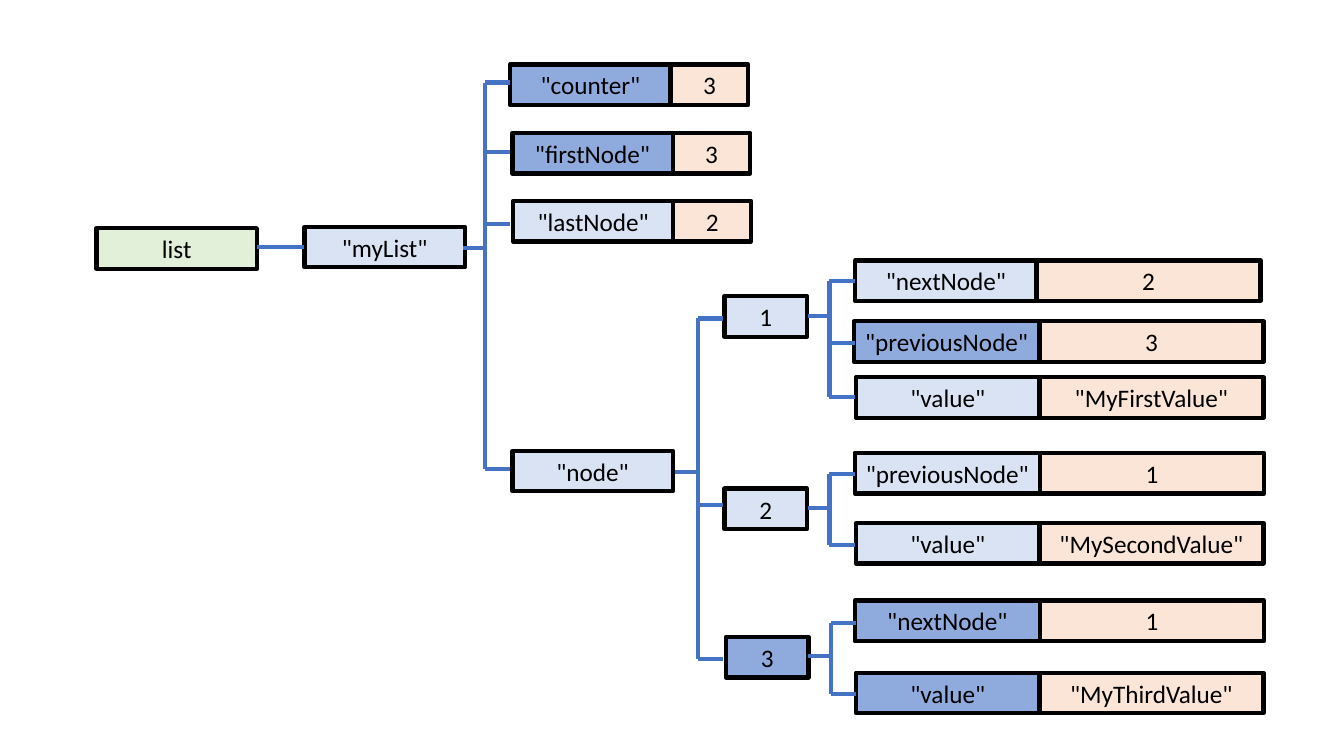
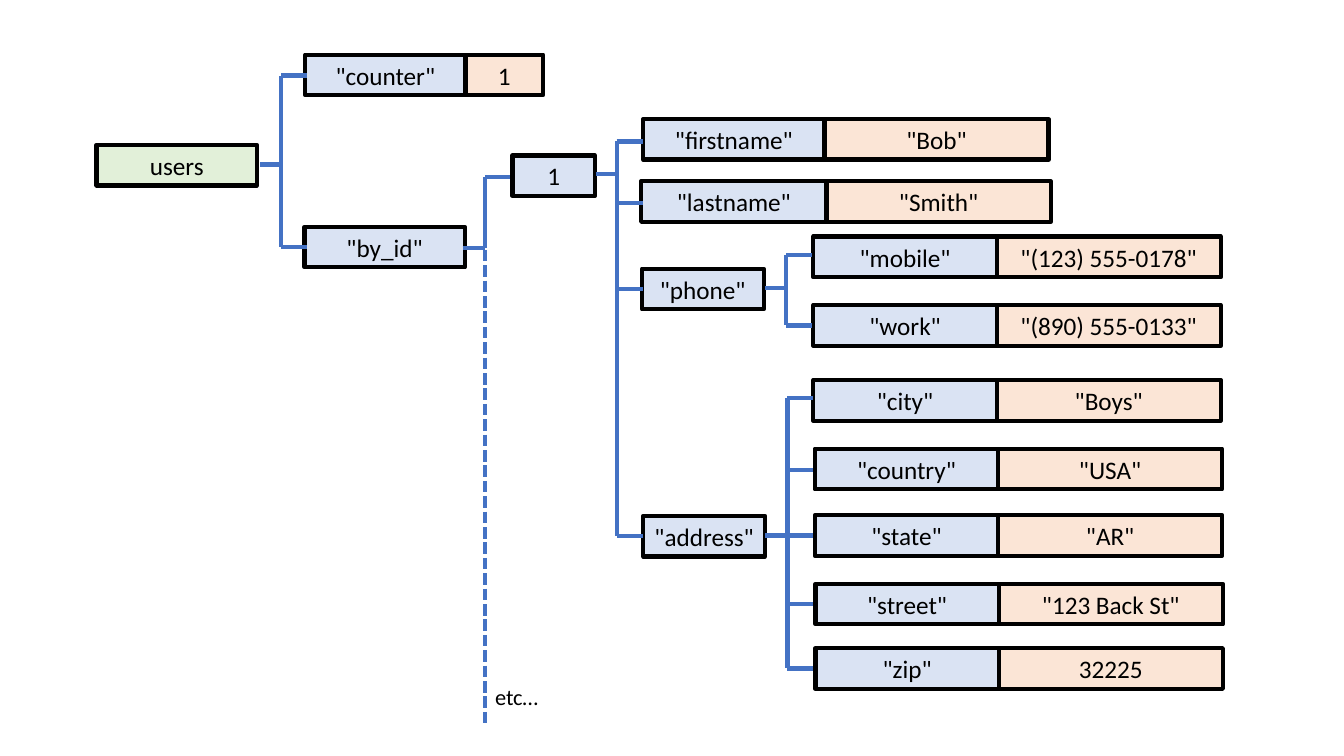
from pptx import Presentation
from pptx.dml.color import RGBColor
from pptx.enum.dml import MSO_LINE
from pptx.enum.shapes import MSO_CONNECTOR, MSO_SHAPE
from pptx.enum.text import MSO_ANCHOR, PP_ALIGN
from pptx.oxml.ns import qn
from pptx.util import Pt
from lxml.etree import SubElement

BLACK = RGBColor(0x00, 0x00, 0x00)
GREEN = RGBColor(0xE2, 0xF0, 0xD9)
PALE = RGBColor(0xDA, 0xE3, 0xF3)
BLUE = RGBColor(0x8F, 0xAA, 0xDC)
PEACH = RGBColor(0xFB, 0xE5, 0xD6)
LINK = RGBColor(0x44, 0x72, 0xC4)

HEIGHT = 29
NAME_W, ID_W, SUB_W = 114.5, 59, 87
KEY_W, WIDE_KEY_W = 131, 132.5
COUNT_W, VALUE_W = 55.5, 160


class TreeDeck:
    """Draws tree diagrams of keys and values, one tree a slide."""

    def __init__(self):
        self.prs = Presentation()
        self.prs.slide_width = Pt(960)
        self.prs.slide_height = Pt(540)
        self.s = None

    def new_slide(self):
        self.s = self.prs.slides.add_slide(self.prs.slide_layouts[6])

    def add_text(self, tf, text, size, align):
        p = tf.paragraphs[0]
        p.alignment = align
        r = p.add_run()
        r.text = text
        r.font.size = Pt(size)
        r.font.name = "Calibri"
        r.font.color.rgb = BLACK

    def box(self, text, x, y, w, fill=PALE):
        sp = self.s.shapes.add_shape(
            MSO_SHAPE.RECTANGLE, Pt(x), Pt(y), Pt(w), Pt(HEIGHT))
        sp.shadow.inherit = False
        sp.fill.solid()
        sp.fill.fore_color.rgb = fill
        sp.line.color.rgb = BLACK
        sp.line.width = Pt(3)
        tf = sp.text_frame
        tf.word_wrap = True
        tf.vertical_anchor = MSO_ANCHOR.MIDDLE
        tf.margin_left = tf.margin_right = Pt(3)
        self.add_text(tf, text, 18, PP_ALIGN.CENTER)

    def pair(self, key, value, x, y, key_w=KEY_W, value_w=VALUE_W, fill=PALE):
        self.box(value, x + key_w, y, value_w, PEACH)
        self.box(key, x, y, key_w, fill)

    def label(self, text, x, y, w, h):
        tf = self.s.shapes.add_textbox(Pt(x), Pt(y), Pt(w), Pt(h)).text_frame
        tf.word_wrap = False
        self.add_text(tf, text, 16, PP_ALIGN.LEFT)

    def line(self, x1, y1, x2, y2, width=3, dash=None):
        cn = self.s.shapes.add_connector(
            MSO_CONNECTOR.STRAIGHT, Pt(x1), Pt(y1), Pt(x2), Pt(y2))
        cn.line.color.rgb = LINK
        cn.line.width = Pt(width)
        if dash:
            cn.line.dash_style = dash
        SubElement(cn._element.spPr, qn("a:effectLst"))

    def bracket(self, left, y, spine, right, branches):
        self.line(left, y, spine, y)
        self.line(spine, min(y, *branches), spine, max(y, *branches))
        for branch in branches:
            self.line(spine, branch, right, branch)


def list_slide(deck):
    """Draw the linked list tree."""
    deck.new_slide()
    deck.box("list", 69, 163, NAME_W, GREEN)
    deck.box('"myList"', 217.5, 162, NAME_W)
    for key, value, x, y, fill in (
            ('"counter"', "3", 364.5, 46, BLUE),
            ('"firstNode"', "3", 366, 95, BLUE),
            ('"lastNode"', "2", 366.5, 143.5, PALE)):
        deck.pair(key, value, x, y, NAME_W, COUNT_W, fill)
    deck.box('"node"', 366, 322, NAME_W)
    for text, x, y, fill in (
            ("1", 517.5, 211.5, PALE),
            ("2", 517.5, 349, PALE),
            ("3", 518.5, 455, BLUE)):
        deck.box(text, x, y, ID_W, fill)
    for key, value, x, y, key_w, fill in (
            ('"nextNode"', "2", 611, 186, 129.5, PALE),
            ('"value"', '"MyFirstValue"', 611.5, 269.5, KEY_W, PALE),
            ('"previousNode"', "1", 610.5, 323.5, WIDE_KEY_W, PALE),
            ('"value"', '"MySecondValue"', 611.5, 373.5, KEY_W, PALE),
            ('"nextNode"', "1", 610.5, 429, WIDE_KEY_W, BLUE),
            ('"value"', '"MyThirdValue"', 611.5, 480.5, KEY_W, BLUE),
            ('"previousNode"', "3", 610, 229.5, WIDE_KEY_W, BLUE)):
        deck.pair(key, value, x, y, key_w, fill=fill)
    deck.line(183.5, 176.5, 217.5, 176.5)
    deck.bracket(330.5, 177, 346.5, 364.5, (59, 108.5, 160, 335))
    deck.bracket(482.5, 337, 498.5, 516.5, (227.5, 360.5, 471))
    deck.bracket(577, 225.5, 592.5, 611, (201, 245, 283.5))
    deck.bracket(577.5, 363, 592.5, 611, (338.5, 389.5))
    deck.bracket(577.5, 468.5, 593.5, 611.5, (445, 496))


def users_slide(deck):
    """Draw the users tree."""
    deck.new_slide()
    deck.box("users", 69, 103.5, NAME_W, GREEN)
    deck.box('"by_id"', 217.5, 162, NAME_W)
    deck.pair('"counter"', "1", 218, 39, NAME_W, COUNT_W)
    deck.box("1", 366, 111, ID_W)
    deck.pair('"firstname"', '"Bob"', 459.5, 85, 129.5)
    deck.pair('"lastname"', '"Smith"', 458, 129.5, WIDE_KEY_W)
    deck.box('"phone"', 458.5, 192, SUB_W)
    deck.box('"address"', 459.5, 368.5, SUB_W)
    for key, value, x, y in (
            ('"mobile"', '"(123) 555-0178"', 581, 169),
            ('"work"', '"(890) 555-0133"', 581, 218),
            ('"city"', '"Boys"', 581, 271.5),
            ('"country"', '"USA"', 582, 320.5),
            ('"state"', '"AR"', 582, 368),
            ('"street"', '"123 Back St"', 582.5, 417),
            ('"zip"', "32225", 582.5, 463)):
        deck.pair(key, value, x, y)
    deck.bracket(186, 117.5, 201, 219, (54, 176.5))
    deck.bracket(330.5, 177, 346.5, 364.5, (126.5,))
    deck.bracket(425.5, 124.5, 440.5, 459, (101, 145, 206.5, 383))
    deck.bracket(546.5, 206, 561.5, 580, (182, 232.5))
    deck.bracket(546.5, 382.5, 562.5, 581, (284.5, 335.5, 382.5, 431.5, 477.5))
    deck.line(346.5, 178.5, 346.5, 517.5, 2.75, MSO_LINE.SQUARE_DOT)
    deck.label("etc…", 346.5, 484.5, 45.5, 26.5)


def main():
    """Build and save the deck."""
    deck = TreeDeck()
    list_slide(deck)
    users_slide(deck)
    deck.prs.save("out.pptx")


if __name__ == "__main__":
    main()
